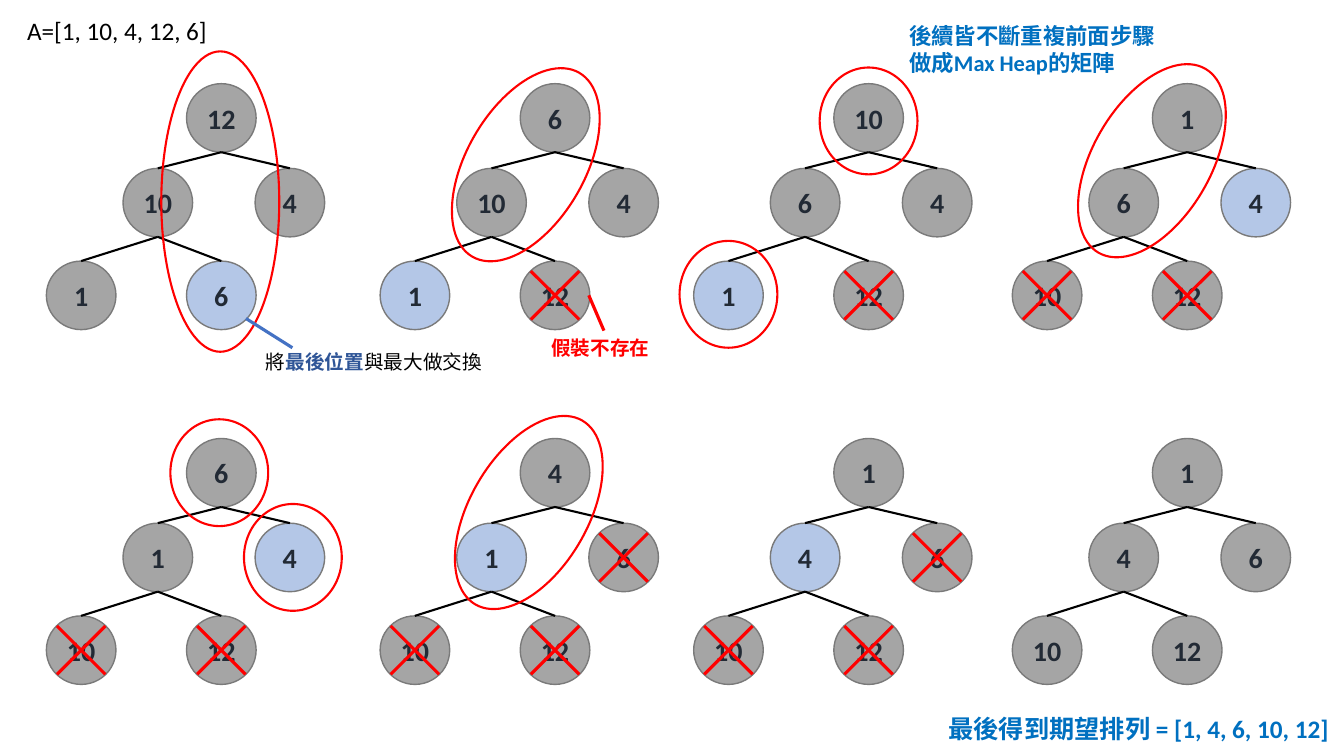
from dataclasses import dataclass

from pptx import Presentation
from pptx.dml.color import RGBColor
from pptx.enum.shapes import MSO_CONNECTOR, MSO_SHAPE
from pptx.enum.text import MSO_ANCHOR, MSO_AUTO_SIZE, PP_ALIGN
from pptx.oxml.ns import qn
from pptx.util import Inches, Pt


@dataclass(frozen=True)
class Theme:
    """Colours, font, type sizes and line widths of the slide."""
    font: str = "Calibri"
    black: str = "000000"
    red: str = "FF0000"
    blue: str = "0070C0"
    navy: str = "2F5597"
    pointer: str = "4472C4"
    node: str = "A5A5A5"
    last: str = "B4C7E7"
    outline: str = "7A7A7A"
    number: str = "222A35"
    title_size: int = 18
    remark_size: int = 16
    label_size: int = 14
    number_size: int = 20
    thin: float = 1
    medium: float = 1.5
    thick: float = 2.25


THEME = Theme()

# Nodes in heap order: root, its two children, the left child's two children
NODE_W, NODE_H = 0.69, 0.68
OFFSETS = [(1.39, 0), (0.76, 0.84), (2.07, 0.84), (0, 1.76), (1.39, 1.76)]
EDGES = [(1, 3), (1, 4), (0, 1), (0, 2)]
CROSS = 0.24

COLUMNS = [0.46, 3.77, 6.88, 10.04]
ROWS = [0.83, 4.35]

# Ring outlines: width, height, rotation
TALL = (1.17, 2.98, 0)
TILTED = (1.17, 2.11, 30.2)
SINGLE = (0.97, 1.06, 0)

# Each step: heap values, index of the last node, removed nodes, rings
STEPS = [
    ([12, 10, 4, 1, 6], 4, [], [(1.6, 0.51, TALL)]),
    ([6, 10, 4, 1, 12], 3, [4], [(4.63, 0.58, TILTED)]),
    ([10, 6, 4, 1, 12], 3, [4], [(8.13, 0.67, SINGLE), (6.74, 2.39, SINGLE)]),
    ([1, 6, 4, 10, 12], 2, [3, 4], [(10.84, 0.54, TILTED)]),
    ([6, 1, 4, 10, 12], 2, [3, 4], [(1.69, 4.16, SINGLE), (2.42, 5, SINGLE)]),
    ([4, 1, 6, 10, 12], 1, [2, 3, 4], [(4.66, 4.03, TILTED)]),
    ([1, 4, 6, 10, 12], 1, [2, 3, 4], []),
    ([1, 4, 6, 10, 12], None, [], []),
]


def rgb(value):
    """Turn a hex string into a colour."""
    return RGBColor.from_string(value)


def style_run(r, size, color, bold):
    """Format one run."""
    r.font.name = THEME.font
    r.font.size = Pt(size)
    r.font.bold = bold
    r.font.color.rgb = rgb(color)


def add_text(slide, left, top, width, height, size, parts):
    """Add a text box of one paragraph from (text, colour, bold) parts."""
    box = slide.shapes.add_textbox(
        Inches(left), Inches(top), Inches(width), Inches(height))
    tf = box.text_frame
    tf.word_wrap = True
    tf.auto_size = MSO_AUTO_SIZE.SHAPE_TO_FIT_TEXT
    p = tf.paragraphs[0]
    for text, color, bold in parts:
        r = p.add_run()
        r.text = text
        style_run(r, size, color, bold)


def add_line(slide, start, end, color, width):
    """Add a straight line without a shadow."""
    line = slide.shapes.add_connector(
        MSO_CONNECTOR.STRAIGHT, *map(Inches, (*start, *end)))
    line.line.color.rgb = rgb(color)
    line.line.width = Pt(width)
    sp_pr = line._element.spPr
    sp_pr.append(sp_pr.makeelement(qn("a:effectLst"), {}))


def add_ellipse(slide, left, top, width, height, color, line_width):
    """Add an unfilled ellipse and return it."""
    sp = slide.shapes.add_shape(
        MSO_SHAPE.OVAL, Inches(left), Inches(top), Inches(width), Inches(height))
    sp.shadow.inherit = False
    sp.fill.background()
    sp.line.color.rgb = rgb(color)
    sp.line.width = Pt(line_width)
    return sp


def add_node(slide, left, top, value, fill):
    """Add a numbered heap node."""
    sp = add_ellipse(slide, left, top, NODE_W, NODE_H, THEME.outline, THEME.thin)
    sp.fill.solid()
    sp.fill.fore_color.rgb = rgb(fill)
    tf = sp.text_frame
    tf.text = str(value)
    tf.vertical_anchor = MSO_ANCHOR.MIDDLE
    p = tf.paragraphs[0]
    p.alignment = PP_ALIGN.CENTER
    style_run(p.runs[0], THEME.number_size, THEME.number, True)


def add_cross(slide, x, y):
    """Cross out the node centred at x, y."""
    for slope in (1, -1):
        add_line(slide, (x - CROSS, y - slope * CROSS),
                 (x + CROSS, y + slope * CROSS), THEME.red, THEME.thick)


def add_ring(slide, left, top, outline):
    """Add a red ring around the nodes to be swapped."""
    width, height, rotation = outline
    sp = add_ellipse(slide, left, top, width, height, THEME.red, THEME.medium)
    sp.rotation = rotation


def add_tree(slide, left, top, values, last, removed):
    """Add one five-node heap with its edges and crosses."""
    places = [(left + dx, top + dy) for dx, dy in OFFSETS]
    for i, ((x, y), value) in enumerate(zip(places, values)):
        add_node(slide, x, y, value, THEME.last if i == last else THEME.node)
    for parent, child in EDGES:
        (px, py), (cx, cy) = places[parent], places[child]
        add_line(slide, (px + NODE_W / 2, py + NODE_H),
                 (cx + NODE_W / 2, cy), THEME.black, THEME.medium)
    for i in removed:
        x, y = places[i]
        add_cross(slide, x + NODE_W / 2, y + NODE_H / 2)


def add_notes_on_steps(slide):
    """Add the texts and the two pointer lines."""
    t = THEME
    add_text(slide, 0.17, 0.1, 2.2, 0.4, t.title_size,
             [("A=[1, 10, 4, 12, 6]", t.black, False)])
    add_text(slide, 9.31, 7.03, 4.13, 0.4, t.title_size,
             [("最後得到期望排列 = [1, 4, 6, 10, 12]", t.blue, True)])
    add_text(slide, 2.54, 3.42, 2.4, 0.34, t.label_size,
             [("將", t.black, False), ("最後位置", t.navy, True),
              ("與最大做交換", t.black, False)])
    add_line(slide, (2.44, 3.16), (2.9, 3.45), t.pointer, t.thick)
    add_text(slide, 5.37, 3.28, 1.25, 0.34, t.label_size,
             [("假裝不存在", t.red, True)])
    add_line(slide, (5.84, 2.93), (5.99, 3.28), t.red, t.thick)
    add_text(slide, 8.92, 0.17, 2.68, 0.64, t.remark_size,
             [("後續皆不斷重複前面步驟做成Max Heap的矩陣", t.blue, True)])


def main():
    """Build the heap sort slide."""
    prs = Presentation()
    prs.slide_width, prs.slide_height = Inches(13.33), Inches(7.5)
    slide = prs.slides.add_slide(prs.slide_layouts[6])
    for i, (values, last, removed, rings) in enumerate(STEPS):
        row, column = divmod(i, len(COLUMNS))
        add_tree(slide, COLUMNS[column], ROWS[row], values, last, removed)
        for left, top, outline in rings:
            add_ring(slide, left, top, outline)
    add_notes_on_steps(slide)
    prs.save("out.pptx")


main()
